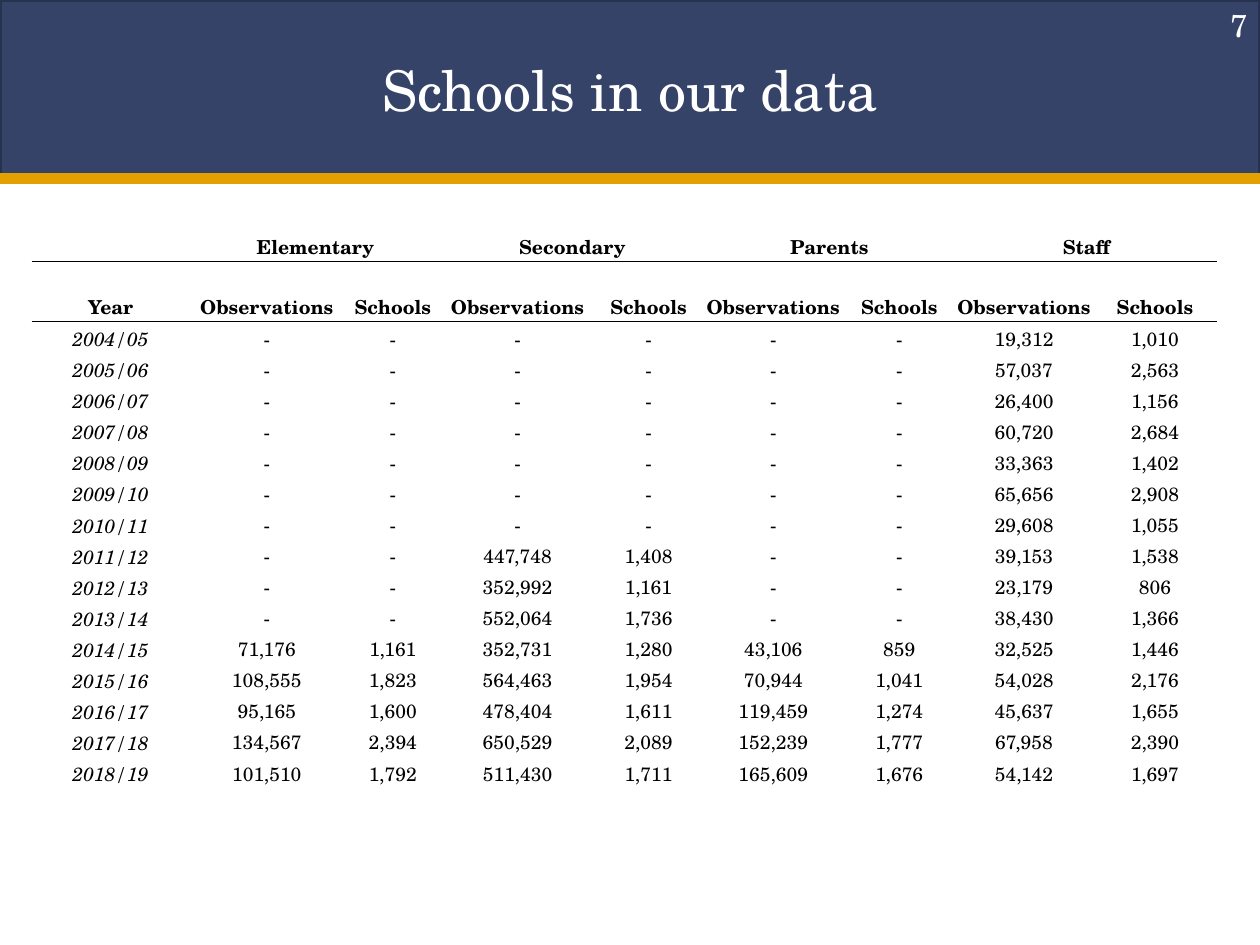
import lxml.etree
import pptx
import pptx.dml.color
import pptx.enum.shapes
import pptx.enum.text
import pptx.oxml.ns
import pptx.util
from pptx.util import Cm

FONT = "TeX Gyre Schola"
COLORS = {
    "band": "354369",
    "band_edge": "27324E",
    "gold": "E2A100",
    "white": "FFFFFF",
    "black": "000000",
}
NO_GRID_STYLE = "{2D5ABB26-0587-4C30-8999-92F81FD0307C}"
COLUMN_WIDTHS = [3.18, 3.12, 1.96, 3.07, 2.21, 2.82, 2.26, 2.77, 2.51]
TABLE_HEIGHT = 11.23
SUBHEADER_HEIGHT = 1.21
GROUPS = ["Elementary", "Secondary", "Parents", "Staff"]
SUBHEADERS = ["Year"] + ["Observations", "Schools"] * len(GROUPS)
SCHOOL_YEARS = """
2004/05 - - - - - - 19,312 1,010
2005/06 - - - - - - 57,037 2,563
2006/07 - - - - - - 26,400 1,156
2007/08 - - - - - - 60,720 2,684
2008/09 - - - - - - 33,363 1,402
2009/10 - - - - - - 65,656 2,908
2010/11 - - - - - - 29,608 1,055
2011/12 - - 447,748 1,408 - - 39,153 1,538
2012/13 - - 352,992 1,161 - - 23,179 806
2013/14 - - 552,064 1,736 - - 38,430 1,366
2014/15 71,176 1,161 352,731 1,280 43,106 859 32,525 1,446
2015/16 108,555 1,823 564,463 1,954 70,944 1,041 54,028 2,176
2016/17 95,165 1,600 478,404 1,611 119,459 1,274 45,637 1,655
2017/18 134,567 2,394 650,529 2,089 152,239 1,777 67,958 2,390
2018/19 101,510 1,792 511,430 1,711 165,609 1,676 54,142 1,697
"""


def rgb(name):
    return pptx.dml.color.RGBColor.from_string(COLORS[name])


def format_text(paragraph, size, color, alignment, bold=False, italic=False):
    paragraph.alignment = alignment
    for run in paragraph.runs:
        run.font.name = FONT
        run.font.size = pptx.util.Pt(size)
        run.font.color.rgb = rgb(color)
        run.font.bold = bold
        run.font.italic = italic


def add_band(slide, width, height):
    shape = slide.shapes.add_shape(
        pptx.enum.shapes.MSO_SHAPE.RECTANGLE, 0, 0, width, height)
    shape.shadow.inherit = False
    shape.fill.solid()
    shape.fill.fore_color.rgb = rgb("band")
    shape.line.color.rgb = rgb("band_edge")
    shape.line.width = pptx.util.Pt(2)


def add_rule(slide, left, right, top):
    connector = slide.shapes.add_connector(
        pptx.enum.shapes.MSO_CONNECTOR.STRAIGHT, left, top, right, top)
    connector.line.color.rgb = rgb("gold")
    connector.line.width = pptx.util.Pt(6)
    lxml.etree.SubElement(
        connector._element.spPr, pptx.oxml.ns.qn("a:effectLst"))


def add_label(slide, text, left, top, width, height, size, alignment):
    text_frame = slide.shapes.add_textbox(left, top, width, height).text_frame
    text_frame.word_wrap = True
    text_frame.vertical_anchor = pptx.enum.text.MSO_ANCHOR.MIDDLE
    text_frame.text = text
    format_text(text_frame.paragraphs[0], size, "white", alignment)


def set_border(cell, side, visible):
    qn = pptx.oxml.ns.qn
    line = lxml.etree.SubElement(
        cell._tc.get_or_add_tcPr(), qn(f"a:ln{side}"), w=str(pptx.util.Pt(0.5)))
    if visible:
        fill = lxml.etree.SubElement(line, qn("a:solidFill"))
        lxml.etree.SubElement(fill, qn("a:srgbClr"), val=COLORS["black"])
    else:
        lxml.etree.SubElement(line, qn("a:noFill"))


def fill_cell(cell, text, ruled_sides, bold, italic):
    cell.margin_left = cell.margin_right = cell.margin_top = Cm(0.02)
    cell.margin_bottom = 0
    cell.vertical_anchor = pptx.enum.text.MSO_ANCHOR.BOTTOM
    for side in "TB":
        set_border(cell, side, side in ruled_sides)
    cell.fill.background()
    if text:
        cell.text_frame.text = text
    paragraph = cell.text_frame.paragraphs[0]
    format_text(paragraph, 11, "black", pptx.enum.text.PP_ALIGN.CENTER,
                bold, italic)
    if not text:
        paragraph._p.get_or_add_endParaRPr().set("sz", "1100")


def add_schools_table(slide, left, top):
    group_row = [""]
    for group in GROUPS:
        group_row += [group, ""]
    rows = [group_row, SUBHEADERS]
    rows += [line.split() for line in SCHOOL_YEARS.strip().splitlines()]
    table_shape = slide.shapes.add_table(
        len(rows), len(COLUMN_WIDTHS), left, top,
        Cm(sum(COLUMN_WIDTHS)), Cm(TABLE_HEIGHT))
    table = table_shape.table
    table.first_row = False
    table.horz_banding = False
    style = table._tbl.tblPr.find(pptx.oxml.ns.qn("a:tableStyleId"))
    style.text = NO_GRID_STYLE

    for column, width in zip(table.columns, COLUMN_WIDTHS):
        column.width = Cm(width)
    row_height = Cm((TABLE_HEIGHT - SUBHEADER_HEIGHT) / (len(rows) - 1))
    ruled_sides = {0: "B", 1: "TB", 2: "T"}
    for row_index, values in enumerate(rows):
        table.rows[row_index].height = (
            Cm(SUBHEADER_HEIGHT) if row_index == 1 else row_height)
        is_header = row_index < 2
        for column_index, text in enumerate(values):
            fill_cell(table.cell(row_index, column_index), text,
                      ruled_sides.get(row_index, ""), is_header,
                      column_index == 0 and not is_header)
    for column_index in range(1, len(COLUMN_WIDTHS), 2):
        table.cell(0, column_index).merge(table.cell(0, column_index + 1))


def main():
    presentation = pptx.Presentation()
    presentation.slide_width = Cm(25.4)
    presentation.slide_height = Cm(19.05)
    slide = presentation.slides.add_slide(presentation.slide_layouts[6])
    band_height = Cm(3.6)
    add_band(slide, presentation.slide_width, band_height)
    add_rule(slide, Cm(-0.05), Cm(25.48), band_height)
    add_label(slide, "Schools in our data", Cm(1.27), Cm(0.2), Cm(22.86),
              Cm(3.18), 32, pptx.enum.text.PP_ALIGN.CENTER)
    add_schools_table(slide, Cm(0.64), Cm(4.65))
    add_label(slide, "7", Cm(19.48), 0, Cm(5.92), Cm(1.02), 18,
              pptx.enum.text.PP_ALIGN.RIGHT)
    presentation.save("out.pptx")


if __name__ == "__main__":
    main()
